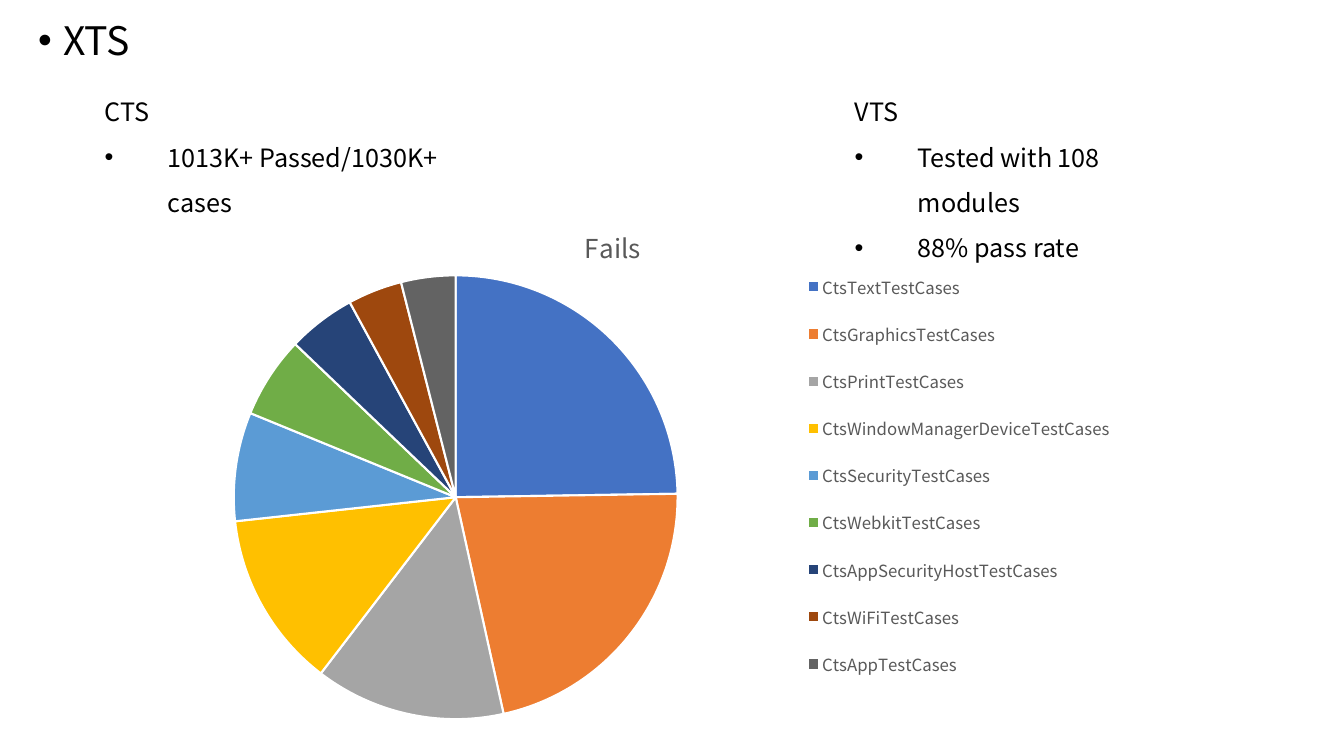
from lxml import etree
from pptx import Presentation
from pptx.chart.data import CategoryChartData
from pptx.dml.color import RGBColor
from pptx.enum.chart import XL_CHART_TYPE as ChartType, XL_LEGEND_POSITION as LegendPosition
from pptx.enum.text import MSO_ANCHOR as Anchor, MSO_AUTO_SIZE as AutoSize, PP_ALIGN as Align
from pptx.oxml import parse_xml
from pptx.oxml.ns import nsdecls, qn
from pptx.util import Pt

FONT = "Noto Sans CJK SC"
BLACK, GRAY, WHITE = "000000", "595959", "FFFFFF"
FAILS = [
    ("CtsTextTestCases", 25, "4472C4"),
    ("CtsGraphicsTestCases", 22, "ED7D31"),
    ("CtsPrintTestCases", 14, "A5A5A5"),
    ("CtsWindowManagerDeviceTestCases", 13, "FFC000"),
    ("CtsSecurityTestCases", 8, "5B9BD5"),
    ("CtsWebkitTestCases", 6, "70AD47"),
    ("CtsAppSecurityHostTestCases", 5, "264478"),
    ("CtsWiFiTestCases", 4, "9E480E"),
    ("CtsAppTestCases", 4, "636363"),
]


def color(hex_string):
    return RGBColor.from_string(hex_string)


def style_font(font, size, hex_string):
    font.name = FONT
    font.size = Pt(size)
    font.bold = False
    font.color.rgb = color(hex_string)


def add_run(paragraph, text, size):
    run = paragraph.add_run()
    run.text = text
    style_font(run.font, size, BLACK)


def add_bullet(paragraph, indent):
    properties = paragraph._p.get_or_add_pPr()
    properties.set("marL", str(Pt(indent)))
    properties.set("indent", str(-Pt(indent)))
    etree.SubElement(properties, qn("a:buFont")).set("typeface", "Arial")
    etree.SubElement(properties, qn("a:buChar")).set("char", "•")


def place_title(slide, text, left, top, width, height):
    title = slide.shapes.title
    title.left, title.top, title.width, title.height = map(Pt, (left, top, width, height))
    frame = title.text_frame
    frame.vertical_anchor = Anchor.TOP
    frame.auto_size = AutoSize.NONE
    paragraph = frame.paragraphs[0]
    paragraph.alignment = Align.LEFT
    paragraph.line_spacing = 0.9
    paragraph.space_before = Pt(10)
    add_bullet(paragraph, 18)
    add_run(paragraph, text, 28)


def add_results(slide, heading, results, left, top, width, height):
    box = slide.shapes.add_textbox(Pt(left), Pt(top), Pt(width), Pt(height))
    frame = box.text_frame
    frame.word_wrap = True
    for index, text in enumerate([heading] + results):
        paragraph = frame.add_paragraph() if index else frame.paragraphs[0]
        paragraph.line_spacing = 1.5
        if index:
            add_bullet(paragraph, 45)
        add_run(paragraph, text, 18)


def set_layout(element, before, target="", **fractions):
    """Place a chart part by fractions of the chart area."""
    for old in element.findall(qn("c:layout")):
        element.remove(old)
    modes = "".join(f'<c:{axis}Mode val="edge"/>' for axis in "xy")
    values = "".join(f'<c:{name} val="{value}"/>' for name, value in fractions.items())
    layout = parse_xml(f'<c:layout {nsdecls("c")}><c:manualLayout>{target}{modes}{values}'
                       "</c:manualLayout></c:layout>")
    element.find(qn(before)).addprevious(layout)


def add_fails_pie(slide, left, top, width, height):
    data = CategoryChartData()
    data.categories = [name for name, _, _ in FAILS]
    data.add_series("Fails", [count for _, count, _ in FAILS])
    frame = slide.shapes.add_chart(ChartType.PIE, Pt(left), Pt(top), Pt(width), Pt(height), data)
    chart = frame.chart
    style_font(chart.font, 10, BLACK)

    # Title
    chart.has_title = True
    paragraph = chart.chart_title.text_frame.paragraphs[0]
    run = paragraph.add_run()
    run.text = "Fails"
    style_font(run.font, 18.6, GRAY)
    set_layout(chart.chart_title._element, "c:overlay", x=0.47, y=0.05)

    # Slices
    plot = chart.plots[0]
    plot.vary_by_categories = True
    for index, (_, _, fill) in enumerate(FAILS):
        slice_format = plot.series[0].points[index].format
        slice_format.fill.solid()
        slice_format.fill.fore_color.rgb = color(fill)
        slice_format.line.color.rgb = color(WHITE)
        slice_format.line.width = Pt(1.5)
    plot_area = chart._chartSpace.chart.plotArea
    set_layout(plot_area, "c:pieChart", '<c:layoutTarget val="inner"/>',
               x=0.15, y=0.15, w=0.41, h=0.82)

    # Legend
    chart.has_legend = True
    legend = chart.legend
    legend.position = LegendPosition.RIGHT
    legend.include_in_layout = False
    style_font(legend.font, 12, GRAY)
    set_layout(legend._element, "c:overlay", x=0.67, y=0.11, w=0.3, h=0.82)


def main():
    presentation = Presentation()
    presentation.slide_width, presentation.slide_height = Pt(960), Pt(540)
    slide = presentation.slides.add_slide(presentation.slide_layouts[5])
    place_title(slide, "XTS", 20, 11.5, 711, 33)
    add_results(slide, "CTS", ["1013K+ Passed/1030K+ cases"], 67.7, 54.7, 293, 69)
    add_results(slide, "VTS", ["Tested with 108 modules", "88% pass rate"],
                603.4, 54.7, 255, 102)
    add_fails_pie(slide, 51, 137.5, 773.3, 388.8)
    presentation.save("out.pptx")


if __name__ == "__main__":
    main()
